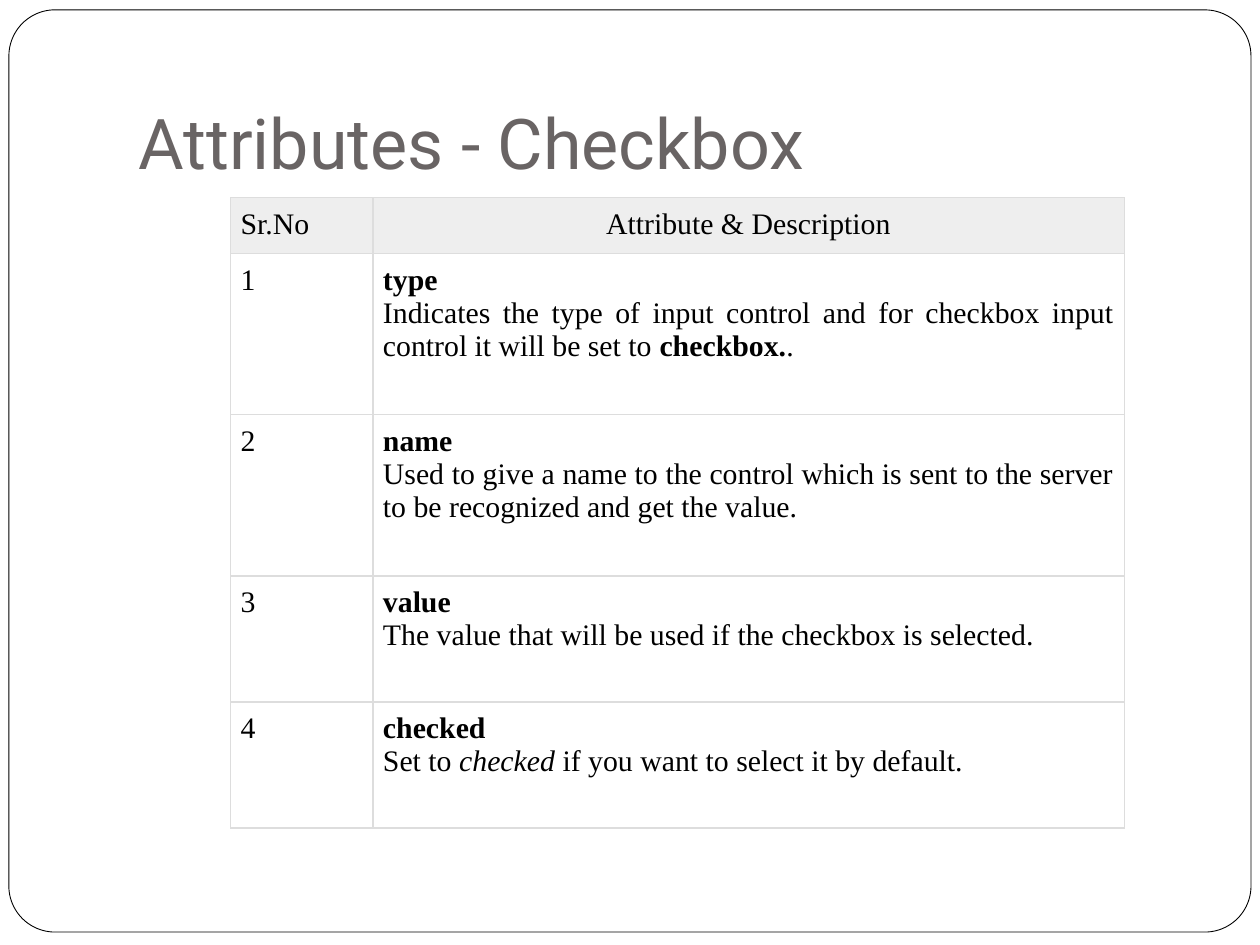
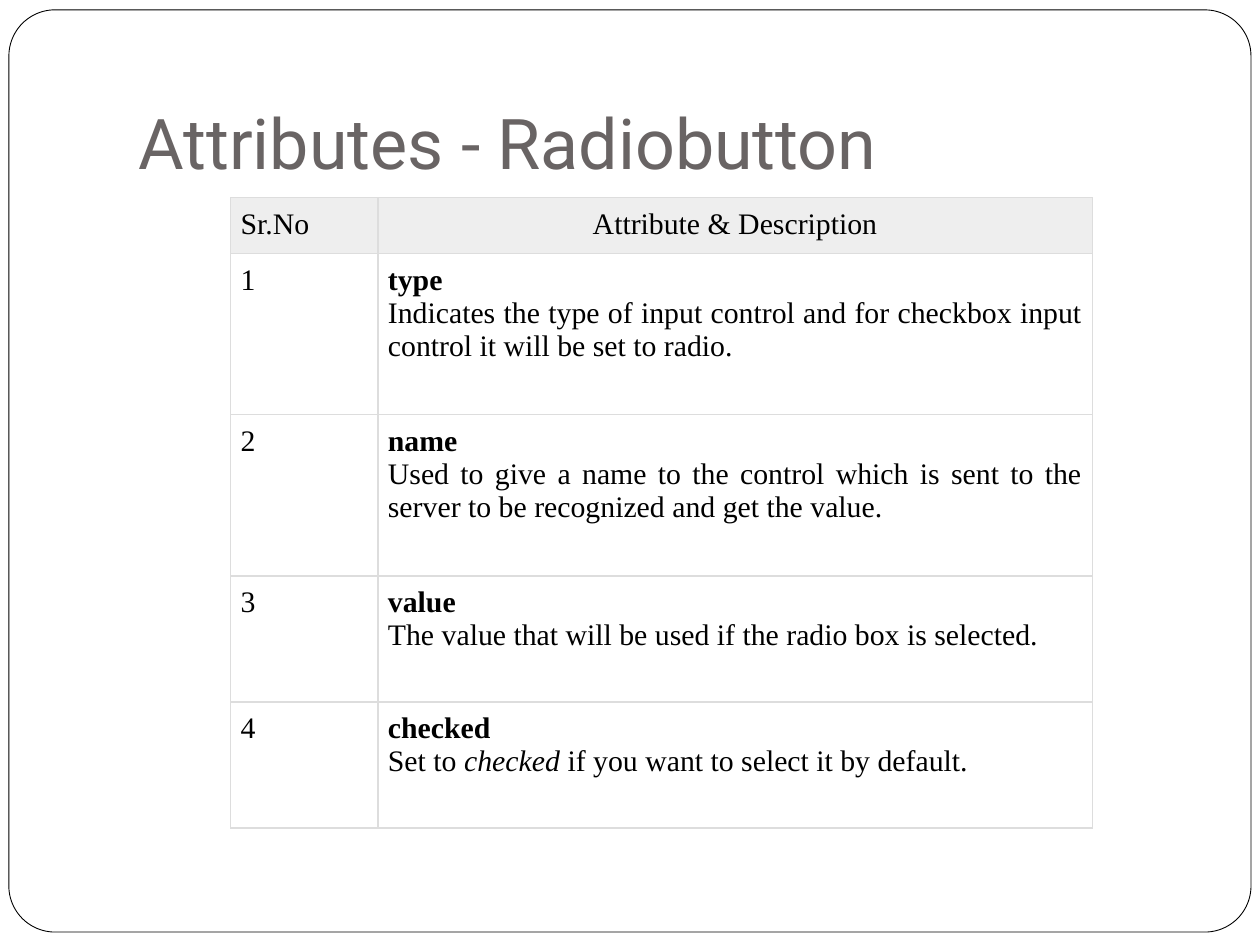
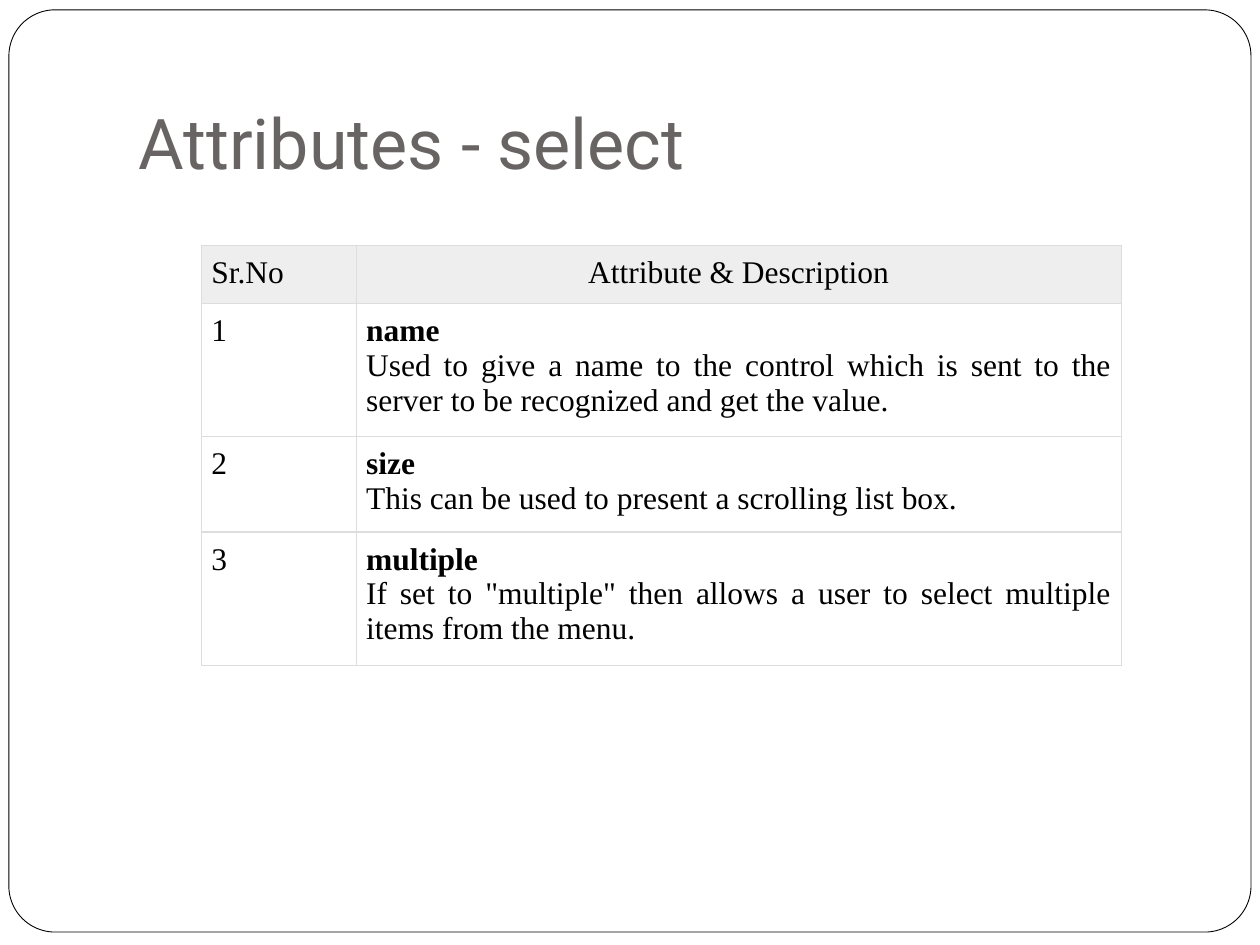
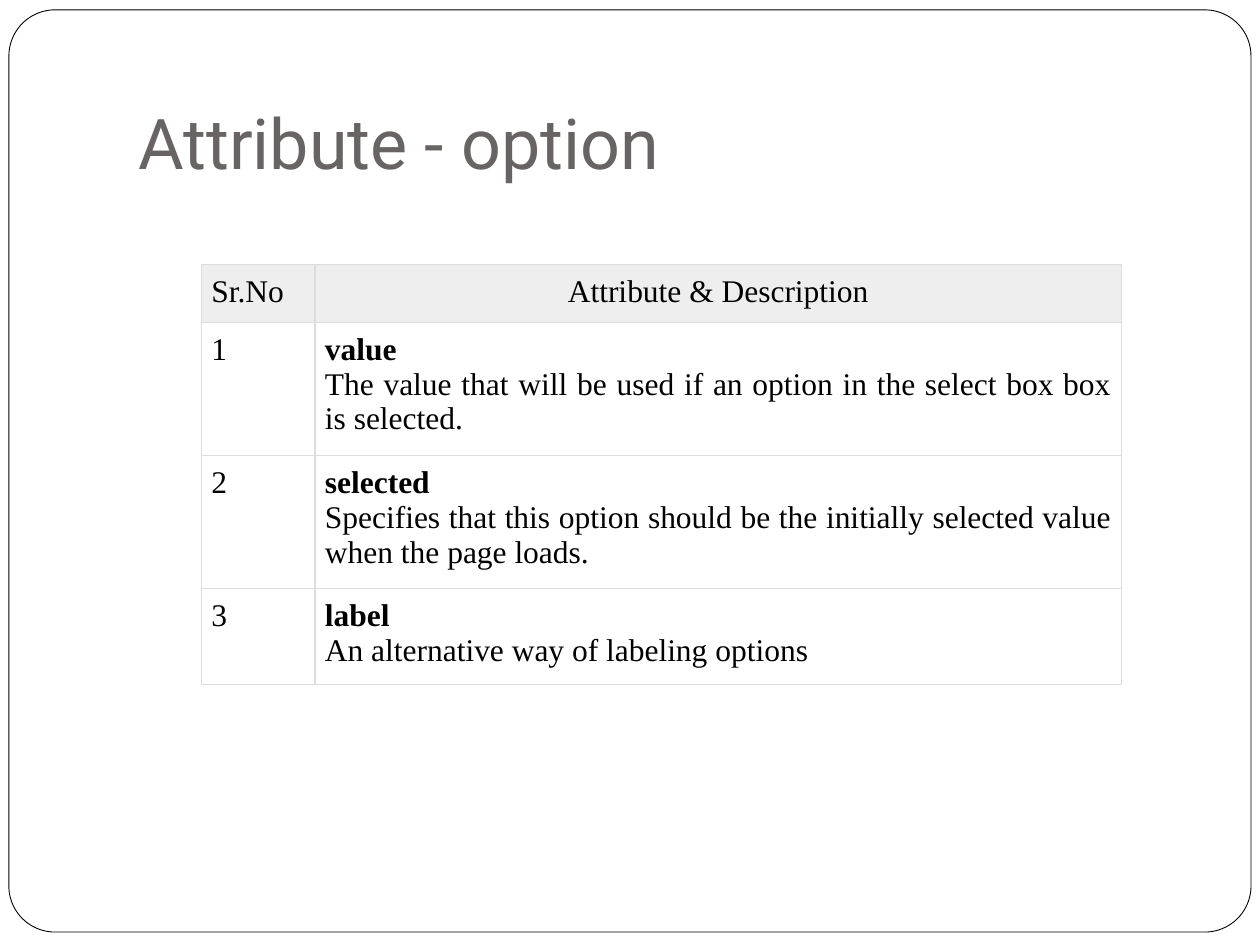
from lxml import etree
from pptx import Presentation
from pptx import util as u
from pptx.dml.color import RGBColor
from pptx.enum import shapes, text
from pptx.oxml.ns import qn

BLACK = RGBColor(0x00, 0x00, 0x00)
WHITE = RGBColor(0xFF, 0xFF, 0xFF)
TITLE_GREY = RGBColor(0x69, 0x64, 0x64)
HEADER_GREY = RGBColor(0xEE, 0xEE, 0xEE)
BORDER_GREY = RGBColor(0xDD, 0xDD, 0xDD)
TITLE_FONT = "Roboto"
BODY_FONT = "Times New Roman"

NAME_TEXT = ("Used to give a name to the control which is sent to the server "
             "to be recognized and get the value.")
CHECKED = ("checked", ["Set to ", ("checked", {"italic": True}),
                       " if you want to select it by default."])
TYPE_TEXT = ("Indicates the type of input control and for checkbox input "
             "control it will be set to ")
TALL_ROWS = [1.12, 3.25, 3.25, 2.54, 2.54]

SLIDES = [
    dict(title="Attributes - Checkbox", left=4.65, top=3.99, size=17,
         cols=[2.87, 15.14], heights=TALL_ROWS,
         attributes=[
             ("type", [TYPE_TEXT, ("checkbox.", {"bold": True}), "."]),
             ("name", [NAME_TEXT]),
             ("value", ["The value that will be used if the checkbox is selected."]),
             CHECKED]),
    dict(title="Attributes - Radiobutton", left=4.65, top=3.99, size=17,
         cols=[2.97, 14.4], heights=TALL_ROWS,
         attributes=[
             ("type", [TYPE_TEXT + "radio."]),
             ("name", [NAME_TEXT]),
             ("value", ["The value that will be used if the radio box is selected."]),
             CHECKED]),
    dict(title="Attributes - select", left=4.06, top=4.95, size=18,
         cols=[3.12, 15.42], heights=[1.12, 2.54, 1.82, 2.54],
         attributes=[
             ("name", [NAME_TEXT]),
             ("size", ["This can be used to present a scrolling list box."]),
             ("multiple", ['If set to "multiple" then allows a user to select '
                           "multiple items from the menu."])]),
    dict(title="Attribute - option", left=4.06, top=5.33, size=18,
         cols=[2.29, 16.26], heights=[1.12, 2.54, 2.54, 1.82],
         attributes=[
             ("value", ["The value that will be used if an option in the select "
                        "box box is selected."]),
             ("selected", ["Specifies that this option should be the initially "
                           "selected value when the page loads."]),
             ("label", ["An alternative way of labeling options"])]),
]


def add_run(p, content, size=17, font=BODY_FONT, color=BLACK, bold=False, italic=False):
    """Append formatted text to a paragraph."""
    r = p.add_run()
    r.text = content
    r.font.size = u.Pt(size)
    r.font.name = font
    r.font.color.rgb = color
    r.font.bold = bold
    r.font.italic = italic


class Deck:
    """Hold the shared style and the current slide."""

    def __init__(self):
        """Start an empty presentation."""
        self.prs = Presentation()
        self.prs.slide_width = u.Cm(25.4)
        self.prs.slide_height = u.Cm(19.05)
        self.slide = None

    def new_slide(self, title):
        """Add a slide with its frame and title."""
        self.slide = self.prs.slides.add_slide(self.prs.slide_layouts[6])
        self.frame()
        self.title(title)

    def frame(self):
        """Draw the rounded outline around the slide."""
        sp = self.slide.shapes.add_shape(
            shapes.MSO_SHAPE.ROUNDED_RECTANGLE,
            u.Cm(0.18), u.Cm(0.2), u.Cm(25.04), u.Cm(18.59))
        sp.adjustments[0] = 0.05
        sp.shadow.inherit = False
        sp.fill.solid()
        sp.fill.fore_color.rgb = WHITE
        sp.line.color.rgb = BLACK
        sp.line.width = u.Pt(0.5)

    def title(self, content):
        """Write the slide title."""
        sp = self.slide.shapes.add_textbox(u.Cm(2.54), u.Cm(0.76), u.Cm(21.59), u.Cm(3.18))
        tf = sp.text_frame
        tf.word_wrap = True
        tf.vertical_anchor = text.MSO_ANCHOR.BOTTOM
        tf.margin_left = tf.margin_right = tf.margin_bottom = u.Cm(0.25)
        tf.margin_top = u.Cm(0.13)
        add_run(tf.paragraphs[0], content, size=40, font=TITLE_FONT, color=TITLE_GREY)

    def cell(self, cell, paragraphs, size, align=text.PP_ALIGN.LEFT, fill=None):
        """Write paragraphs of runs into a bordered cell."""
        cell.margin_left = cell.margin_right = u.Cm(0.2)
        cell.margin_top = cell.margin_bottom = u.Cm(0.2)
        self.borders(cell)
        if fill is None:
            cell.fill.background()
        else:
            cell.fill.solid()
            cell.fill.fore_color.rgb = fill
        tf = cell.text_frame
        for i, runs in enumerate(paragraphs):
            p = tf.add_paragraph() if i else tf.paragraphs[0]
            p.alignment = align
            for run in runs:
                content, fmt = (run, {}) if isinstance(run, str) else run
                add_run(p, content, size=size, **fmt)

    def borders(self, cell):
        """Give a cell thin lines on all four sides."""
        tc_pr = cell._tc.get_or_add_tcPr()
        for side in ("a:lnL", "a:lnR", "a:lnT", "a:lnB"):
            ln = etree.SubElement(tc_pr, qn(side), w=str(u.Pt(0.75)))
            solid = etree.SubElement(ln, qn("a:solidFill"))
            etree.SubElement(solid, qn("a:srgbClr"), val=str(BORDER_GREY))

    def table(self, left, top, cols, heights, size, attributes):
        """Add a numbered table of attributes and descriptions."""
        table = self.slide.shapes.add_table(
            len(heights), len(cols), u.Cm(left), u.Cm(top),
            u.Cm(sum(cols)), u.Cm(sum(heights))).table
        table.first_row = table.horz_banding = False
        for col, width in zip(table.columns, cols):
            col.width = u.Cm(width)
        for row, height in zip(table.rows, heights):
            row.height = u.Cm(height)
        self.cell(table.cell(0, 0), [["Sr.No"]], size, fill=HEADER_GREY)
        self.cell(table.cell(0, 1), [["Attribute & Description"]], size,
                  align=text.PP_ALIGN.CENTER, fill=HEADER_GREY)
        for i, (name, description) in enumerate(attributes, 1):
            self.cell(table.cell(i, 0), [[str(i)]], size)
            self.cell(table.cell(i, 1), [[(name, {"bold": True})], description], size,
                      align=text.PP_ALIGN.JUSTIFY)


def main():
    """Build and save the slides."""
    deck = Deck()
    for content in SLIDES:
        layout = dict(content)
        deck.new_slide(layout.pop("title"))
        deck.table(**layout)
    deck.prs.save("out.pptx")


if __name__ == "__main__":
    main()
